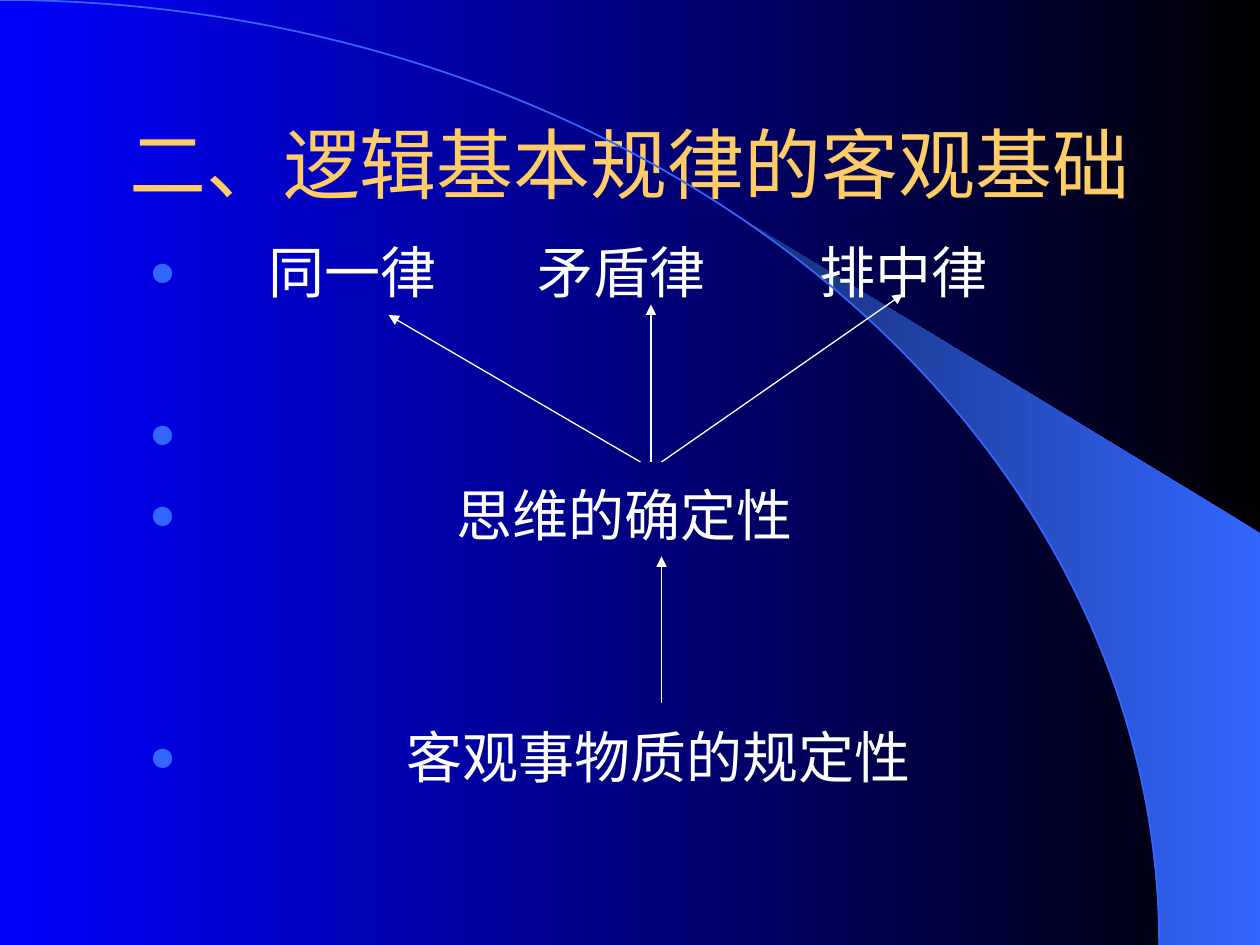
from math import acos, cos, sin
from lxml.etree import SubElement
from pptx import Presentation
from pptx.dml.color import RGBColor
from pptx.enum.shapes import MSO_CONNECTOR, MSO_SHAPE
from pptx.enum.text import MSO_ANCHOR, MSO_AUTO_SIZE, PP_ALIGN
from pptx.oxml.ns import qn
from pptx.util import Inches, Pt

BLACK = RGBColor(0x00, 0x00, 0x00)
BLUE = RGBColor(0x00, 0x00, 0xFF)
SKY = RGBColor(0x33, 0x66, 0xFF)
NAVY = RGBColor(0x17, 0x2F, 0x75)
GOLD = RGBColor(0xFF, 0xCC, 0x66)
WHITE = RGBColor(0xFF, 0xFF, 0xFF)

WIDE, HIGH = Inches(10), Inches(7.5)
COL, ROW = WIDE // 120, HIGH // 90
TITLE = (9, 8, 102, 15)
BODY = (13, 22, 102, 54)
LAWS = [
    ("\t同一律\t矛盾律\t排中律", (0.95, 3.08, 5.32), 0),
    ("\t", (0.95,), 54),
    ("\t思维的确定性", (2.44,), 8),
    ("\t客观事物质的规定性", (2.04,), 100),
]
ARROWS = [
    ((50, 45), (50, 31)),
    ((48, 22), (24, 8)),
    ((49, 22), (49, 7)),
    ((50, 22), (73, 6)),
]


def blend(fill, first, last):
    fill.gradient()
    fill.gradient_angle = 180
    for stop, color in zip(fill.gradient_stops, (first, last)):
        stop.color.rgb = color
    fill.gradient_stops[0].position = 0
    fill.gradient_stops[1].position = 1


def add_back(slide, wide, high):
    blend(slide.background.fill, BLACK, BLUE)
    reach = 0.92 * wide
    start = acos(0.64)
    steps = 24
    angles = [start * (1 - i / steps) for i in range(steps + 1)]
    curve = [(reach * cos(a), high * (1 - sin(a))) for a in angles]
    build = slide.shapes.build_freeform(*map(int, curve[0]))
    edge = curve[1:] + [(wide, high), (wide, 0.564 * high)]
    build.add_line_segments([(int(x), int(y)) for x, y in edge])
    beam = build.convert_to_shape()
    beam.shadow.inherit = False
    blend(beam.fill, SKY, NAVY)
    beam.line.fill.background()
    arc = slide.shapes.add_shape(
        MSO_SHAPE.ARC, int(-reach), 0, int(2 * reach), 2 * high)
    arc.shadow.inherit = False
    arc.fill.background()
    arc.line.color.rgb = SKY
    arc.line.width = Pt(1)


def place(shape, box, anchor):
    left, top, wide, high = box
    shape.left, shape.top = left * COL, top * ROW
    shape.width, shape.height = wide * COL, high * ROW
    frame = shape.text_frame
    frame.word_wrap = True
    frame.auto_size = MSO_AUTO_SIZE.NONE
    frame.vertical_anchor = anchor
    return frame


def style(para, name, size, color):
    for run in para.runs:
        run.font.name = name
        run.font.size = Pt(size)
        run.font.color.rgb = color


def add_title(slide, box):
    frame = place(slide.shapes.title, box, MSO_ANCHOR.MIDDLE)
    frame.text = "二、逻辑基本规律的客观基础"
    para = frame.paragraphs[0]
    para.alignment = PP_ALIGN.CENTER
    style(para, "Arial", 44, GOLD)


def add_marks(para, stops):
    props = para._p.get_or_add_pPr()
    props.set("marL", str(Inches(0.38)))
    props.set("indent", str(-Inches(0.38)))
    tint = SubElement(props, qn("a:buClr"))
    SubElement(tint, qn("a:srgbClr"), val=str(SKY))
    SubElement(props, qn("a:buSzPct"), val="80000")
    SubElement(props, qn("a:buChar"), char="●")
    tabs = SubElement(props, qn("a:tabLst"))
    for stop in stops:
        SubElement(tabs, qn("a:tab"), pos=str(Inches(stop)), algn="l")


def add_laws(slide, box):
    frame = place(slide.placeholders[1], box, MSO_ANCHOR.TOP)
    frame.text = "\n".join(law[0] for law in LAWS)
    for para, (_, stops, gap) in zip(frame.paragraphs, LAWS):
        add_marks(para, stops)
        para.space_before = Pt(gap)
        style(para, "Times New Roman", 32, WHITE)


def add_arrows(slide, box):
    left, top = box[:2]
    for (ax, ay), (bx, by) in ARROWS:
        arrow = slide.shapes.add_connector(
            MSO_CONNECTOR.STRAIGHT,
            (left + ax) * COL, (top + ay) * ROW,
            (left + bx) * COL, (top + by) * ROW)
        arrow.line.color.rgb = WHITE
        arrow.line.width = Pt(0.75)
        SubElement(arrow.line._get_or_add_ln(), qn("a:tailEnd"), type="triangle")
        SubElement(arrow._element.spPr, qn("a:effectLst"))


def main():
    deck = Presentation()
    deck.slide_width, deck.slide_height = WIDE, HIGH
    slide = deck.slides.add_slide(deck.slide_layouts[1])
    add_back(slide, WIDE, HIGH)
    add_title(slide, TITLE)
    add_laws(slide, BODY)
    add_arrows(slide, BODY)
    tree = slide.shapes._spTree
    for holder in (slide.placeholders[1], slide.shapes.title):
        tree.remove(holder._element)
        tree.insert(4, holder._element)
    deck.save("out.pptx")


if __name__ == "__main__":
    main()
